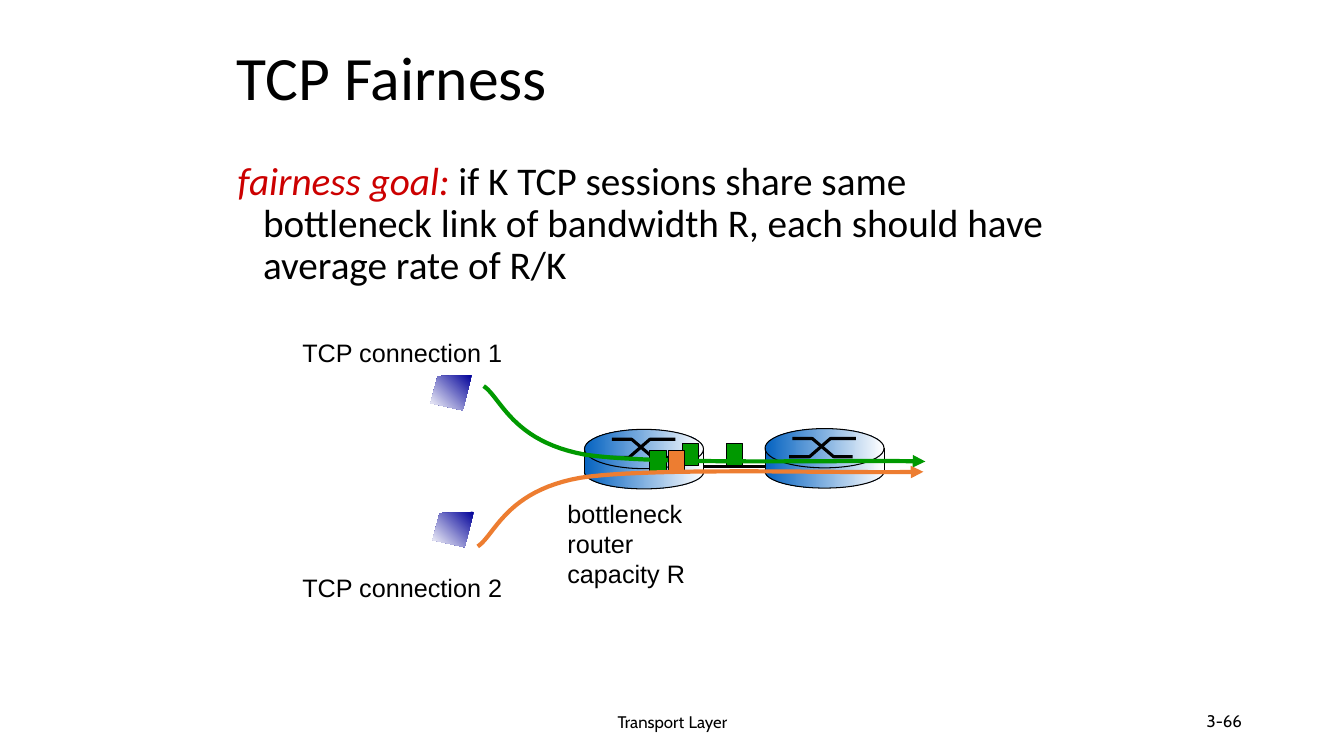
from pptx import Presentation
from pptx.dml.color import RGBColor
from pptx.enum.shapes import MSO_CONNECTOR, MSO_SHAPE
from pptx.enum.text import MSO_ANCHOR, PP_ALIGN
from pptx.oxml.ns import qn
from pptx.util import Cm, Pt
from lxml.etree import SubElement

COLORS = {"black": "000000", "red": "CC0000", "green": "009900",
          "orange": "ED7D31", "blue": "0563C1", "navy": "000099",
          "white": "FFFFFF"}

TITLE = [[("TCP Fairness", {})]]
GOAL = [[("fairness goal:", {"color": "red", "italic": True}),
         (" if K TCP sessions share same bottleneck link of bandwidth R, "
          "each should have average rate of R/K", {})]]
FOOTER = [[("Transport", {}), (" ", {"size": 14}), ("Layer", {})]]
PAGE = [[("3-66", {})]]
LABELS = [
    ((7.37, 8.38, 5.56, 1.02), ["TCP connection 1"]),
    ((7.37, 14.3, 5.56, 1.02), ["TCP connection 2"]),
    ((14.05, 12.42, 3.48, 2.54), ["bottleneck", "router", "capacity R"]),
]
ROUTERS = [(14.73, 10.82), (19.28, 10.8)]
ROUTER_W = 3
ROUTER_BODY = [
    (MSO_SHAPE.OVAL, 0.66, 0.84, "black"),
    (MSO_SHAPE.RECTANGLE, 0.58, 0.51, None),
    (MSO_SHAPE.OVAL, 0, 0.99, "black"),
]
ROUTER_CROSS = [
    [(0.61, 0.71), (1.12, 0.71), (1.65, 0.25), (2.29, 0.25)],
    [(0.69, 0.25), (1.19, 0.25), (1.73, 0.71), (2.21, 0.71)],
]
ROUTER_SIDE = (0.48, 1.12)
SCREENS = [(10.85, 9.45), (10.9, 12.9)]
SCREEN_OUTLINE = [(1.04, 0), (0.18, 0.03), (0, 0.71), (0.81, 0.89)]
FLOWS = [
    {"color": "green",
     "packets": [(18.31, 11.18), (16.38, 11.35), (17.2, 11.18)],
     "curve": [(12.19, 9.73), (12.62, 10.01), (12.9, 11.13), (14.76, 11.46),
               (16.61, 11.73), (21.54, 11.58), (23.32, 11.63)]},
    {"color": "orange",
     "packets": [(16.84, 11.35)],
     "curve": [(12.04, 13.77), (12.47, 13.49), (12.75, 12.37), (14.63, 12.04),
               (16.48, 11.76), (21.46, 11.94), (23.27, 11.89)]},
]


def rgb(name):
    return RGBColor.from_string(COLORS[name])


def add_text(s, box, paras, font="Arial", size=18, align=PP_ALIGN.LEFT,
             anchor=MSO_ANCHOR.TOP, wrap=True, spacing=None, hang=0):
    tf = s.shapes.add_textbox(*map(Cm, box)).text_frame
    tf.word_wrap = wrap
    tf.vertical_anchor = anchor
    for i, runs in enumerate(paras):
        p = tf.add_paragraph() if i else tf.paragraphs[0]
        p.alignment = align
        p.line_spacing = spacing
        if hang:
            pPr = p._p.get_or_add_pPr()
            pPr.set("marL", str(Cm(hang)))
            pPr.set("indent", str(-Cm(hang)))
        for text, fmt in runs:
            r = p.add_run()
            r.text = text
            r.font.name = font
            r.font.size = Pt(fmt.get("size", size))
            r.font.italic = fmt.get("italic", False)
            r.font.color.rgb = rgb(fmt.get("color", "black"))


def style(sp, fill=None, gradient=None, angle=0, line=None, width=0.75):
    sp.shadow.inherit = False
    if gradient:
        sp.fill.gradient()
        sp.fill.gradient_angle = angle
        for stop, name in zip(sp.fill.gradient_stops, (gradient, "white")):
            stop.color.rgb = rgb(name)
    elif fill:
        sp.fill.solid()
        sp.fill.fore_color.rgb = rgb(fill)
    else:
        sp.fill.background()
    if line:
        sp.line.color.rgb = rgb(line)
        sp.line.width = Pt(width)
    else:
        sp.line.fill.background()


def add_line(shapes, x1, y1, x2, y2, width):
    c = shapes.add_connector(MSO_CONNECTOR.STRAIGHT, *map(Cm, (x1, y1, x2, y2)))
    c.line.color.rgb = rgb("black")
    c.line.width = Pt(width)
    SubElement(c._element.spPr, qn("a:effectLst"))


def add_path(shapes, points, x=0, y=0, close=False, **fmt):
    pts = [(Cm(x + dx), Cm(y + dy)) for dx, dy in points]
    fb = shapes.build_freeform(*pts[0])
    fb.add_line_segments(pts[1:], close=close)
    sp = fb.convert_to_shape()
    style(sp, **fmt)
    return sp


def bezier(points, steps=24):
    out = [points[0]]
    for k in range(0, len(points) - 1, 3):
        for n in range(1, steps + 1):
            t = n / steps
            weights = ((1 - t) ** 3, 3 * t * (1 - t) ** 2,
                       3 * t * t * (1 - t), t ** 3)
            out.append(tuple(sum(w * pt[axis] for w, pt in
                                 zip(weights, points[k:k + 4]))
                             for axis in (0, 1)))
    return out


def add_router(s, x, y):
    shapes = s.shapes.add_group_shape().shapes
    for kind, dy, h, line in ROUTER_BODY:
        sp = shapes.add_shape(kind, *map(Cm, (x, y + dy, ROUTER_W, h)))
        style(sp, gradient="blue", line=line)
    for points in ROUTER_CROSS:
        add_path(shapes, points, x, y, line="black", width=2.25)
    top, bottom = ROUTER_SIDE
    for side in (x, x + ROUTER_W):
        add_line(shapes, side, y + top, side, y + bottom, 0.75)


def add_flow(s, color, packets, curve):
    for x, y in packets:
        sp = s.shapes.add_shape(MSO_SHAPE.RECTANGLE,
                                *map(Cm, (x, y, 0.41, 0.56)))
        style(sp, fill=color, line="black")
    sp = add_path(s.shapes, bezier(curve), line=color, width=3)
    SubElement(sp.line._get_or_add_ln(), qn("a:tailEnd"), type="triangle")


def main():
    prs = Presentation()
    prs.slide_width, prs.slide_height = Cm(33.87), Cm(19.05)
    s = prs.slides.add_slide(prs.slide_layouts[6])

    add_text(s, (5.72, 0.43, 21.59, 3.18), TITLE, font="Calibri", size=44,
             anchor=MSO_ANCHOR.MIDDLE, spacing=0.9)
    add_text(s, (5.74, 3.94, 21.16, 6.1), GOAL, font="Calibri", size=28,
             spacing=0.9, hang=0.64)
    add_text(s, (11.23, 17.65, 11.43, 1.02), FOOTER, font="Cabin", size=12,
             align=PP_ALIGN.CENTER, anchor=MSO_ANCHOR.MIDDLE)
    add_text(s, (23.93, 17.65, 7.62, 1.02), PAGE, font="Cabin", size=12,
             align=PP_ALIGN.RIGHT, anchor=MSO_ANCHOR.MIDDLE)
    for box, lines in LABELS:
        add_text(s, box, [[(line, {})] for line in lines], wrap=False)

    add_line(s.shapes, ROUTERS[0][0] + ROUTER_W, 11.76,
             ROUTERS[1][0], 11.76, 2.25)
    for x, y in ROUTERS:
        add_router(s, x, y)
    for flow in FLOWS:
        add_flow(s, **flow)
    for x, y in SCREENS:
        add_path(s.shapes, SCREEN_OUTLINE, x, y, close=True,
                 gradient="navy", angle=225)
    prs.save("out.pptx")


if __name__ == "__main__":
    main()
